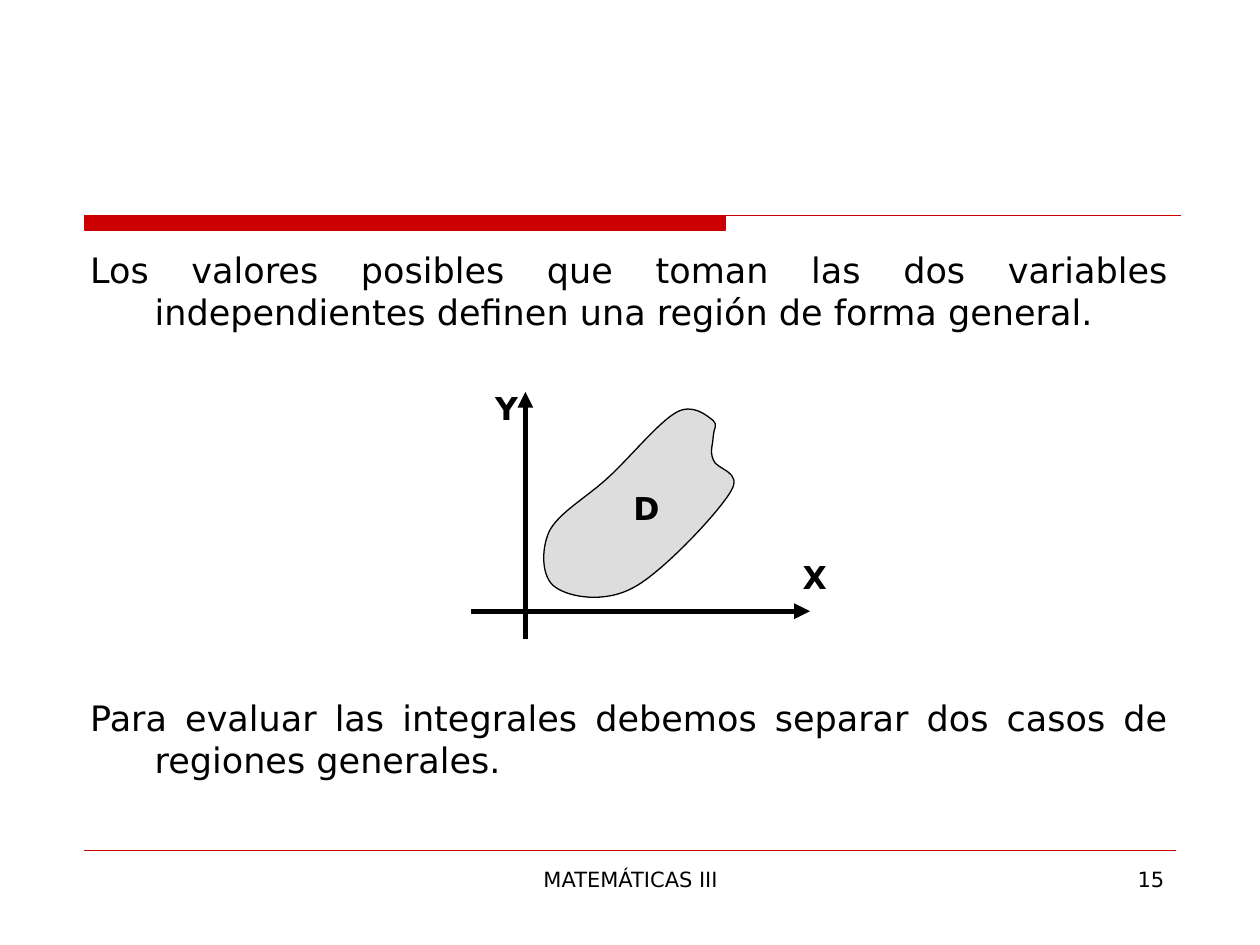
import pptx
import pptx.dml.color
import pptx.enum.shapes
import pptx.enum.text
import pptx.oxml
import pptx.oxml.ns
import pptx.util

Cm = pptx.util.Cm
Pt = pptx.util.Pt
ALIGN = pptx.enum.text.PP_ALIGN
qn = pptx.oxml.ns.qn

FONT = "DejaVu Sans"
COLOURS = {"accent": "CC0000", "ink": "000000", "region": "DDDDDD"}

# Bézier points in cm: a start, then two controls and an end for each curve
REGION_POINTS = [
    (2.79, 1.88),
    (2.36, 2.29), (1.75, 2.62), (1.57, 3.00),
    (1.40, 3.38), (1.42, 3.94), (1.70, 4.12),
    (1.98, 4.32), (2.69, 4.45), (3.28, 4.12),
    (3.86, 3.81), (4.98, 2.62), (5.23, 2.19),
    (5.49, 1.78), (4.93, 1.75), (4.88, 1.55),
    (4.80, 1.37), (4.88, 1.22), (4.88, 1.07),
    (4.88, 0.94), (4.98, 0.84), (4.88, 0.76),
    (4.75, 0.66), (4.47, 0.41), (4.14, 0.59),
    (3.78, 0.79), (3.23, 1.47), (2.79, 1.88),
]


def colour(name):
    return pptx.dml.color.RGBColor.from_string(COLOURS[name])


def style_shape(shape, fill, line):
    shape.shadow.inherit = False
    shape.fill.solid()
    shape.fill.fore_color.rgb = colour(fill)
    shape.line.color.rgb = colour(line)
    shape.line.width = Pt(0.75)


def add_line(shapes, start, end, name, width, arrow=False):
    line = shapes.add_connector(
        pptx.enum.shapes.MSO_CONNECTOR.STRAIGHT,
        Cm(start[0]), Cm(start[1]), Cm(end[0]), Cm(end[1]))
    line.line.color.rgb = colour(name)
    line.line.width = Pt(width)
    if arrow:
        outline = line.line._get_or_add_ln()
        pptx.oxml.ns  # namespace helpers used by qn
        outline.append(outline.makeelement(qn("a:tailEnd"), {"type": "triangle"}))
    properties = line._element.spPr
    properties.append(properties.makeelement(qn("a:effectLst"), {}))


def add_text(shapes, left, top, width, height, texts, size,
             align=ALIGN.LEFT, bold=False, wrap=True):
    """Add a text box with one paragraph per text and return its paragraphs."""
    box = shapes.add_textbox(Cm(left), Cm(top), Cm(width), Cm(height))
    frame = box.text_frame
    frame.word_wrap = wrap
    frame.text = "\n".join(texts)
    for para in frame.paragraphs:
        para.alignment = align
        para.font.name = FONT
        para.font.size = Pt(size)
        para.font.bold = bold
        para.font.color.rgb = colour("ink")
    return frame.paragraphs


def add_header_rule(page, left, top, width, height):
    bar_width = 12.93
    right, bottom = left + bar_width, top + height
    builder = page.shapes.build_freeform(Cm(left), Cm(top))
    corners = [(right, top), (right, bottom), (left, bottom)]
    builder.add_line_segments([(Cm(x), Cm(y)) for x, y in corners], close=True)
    builder.move_to(Cm(left), Cm(top))
    builder.add_line_segments([(Cm(left + width), Cm(top))], close=False)
    style_shape(builder.convert_to_shape(), "accent", "accent")


def add_body(page, left, top, width, height):
    paragraphs = add_text(page.shapes, left, top, width, height, [
        "Los valores posibles que toman las dos variables independientes "
        "definen una región de forma general.",
        "Para evaluar las integrales debemos separar dos casos de "
        "regiones generales.",
    ], 20, ALIGN.JUSTIFY)
    for para in paragraphs:
        properties = para._p.get_or_add_pPr()
        properties.set("marL", str(Cm(1.3)))
        properties.set("indent", str(-Cm(1.3)))
    paragraphs[1].space_before = Pt(208)  # leaves room for the diagram


def add_region(shapes, left, top):
    points = [(Cm(left + x), Cm(top + y)) for x, y in REGION_POINTS]
    builder = shapes.build_freeform(*points[0])
    builder.add_line_segments(points[1:], close=True)
    region = builder.convert_to_shape()
    style_shape(region, "region", "ink")
    # Turn every three straight segments into one Bézier curve
    segments = list(region._element.iter(qn("a:lnTo")))
    for first in range(0, len(segments), 3):
        curve = segments[first].makeelement(qn("a:cubicBezTo"), {})
        segments[first].addprevious(curve)
        for segment in segments[first:first + 3]:
            curve.append(segment[0])
            segment.getparent().remove(segment)


def add_diagram(page, left, top):
    shapes = page.shapes.add_group_shape().shapes
    axes = [((1.09, 5.16), (1.09, 0.18)), ((0, 4.6), (6.83, 4.6))]
    for start, end in axes:
        add_line(shapes, (left + start[0], top + start[1]),
                 (left + end[0], top + end[1]), "ink", 3, arrow=True)
    add_region(shapes, left, top)
    labels = [("X", 6.43, 3.41), ("Y", 0.23, 0), ("D", 3.02, 2.01)]
    for text, x, y in labels:
        add_text(shapes, left + x, top + y, 0.93, 1.02, [text], 18,
                 bold=True, wrap=False)


def add_footer(page, left, top, width):
    add_line(page.shapes, (left, top), (left + width, top), "accent", 0.25)
    text_top, text_height = top + 0.2, 1.32
    add_text(page.shapes, left + 6.99, text_top, 8.05, text_height,
             ["MATEMÁTICAS III"], 12, ALIGN.CENTER)
    add_text(page.shapes, left + 16.51, text_top, 5.51, text_height,
             ["15"], 12, ALIGN.RIGHT)


def main():
    deck = pptx.Presentation()
    deck.slide_width, deck.slide_height = Cm(25.4), Cm(19.05)
    page = deck.slides.add_slide(deck.slide_layouts[6])
    add_header_rule(page, 1.7, 4.34, 22.1, 0.3)
    add_footer(page, 1.7, 17.15, 22)
    add_body(page, 1.57, 4.88, 22.23, 11.86)
    add_diagram(page, 9.5, 7.72)
    deck.save("out.pptx")


if __name__ == "__main__":
    main()
